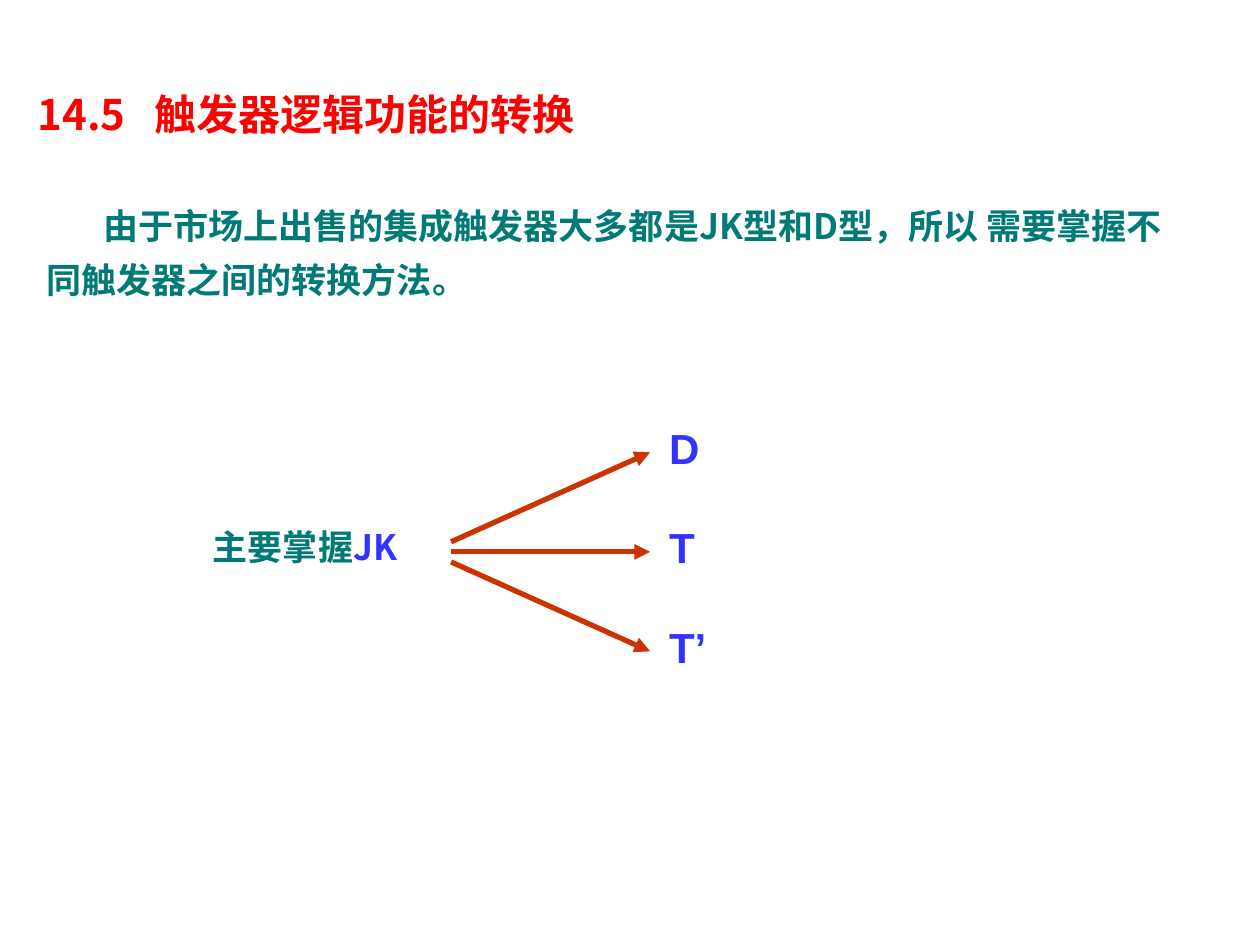
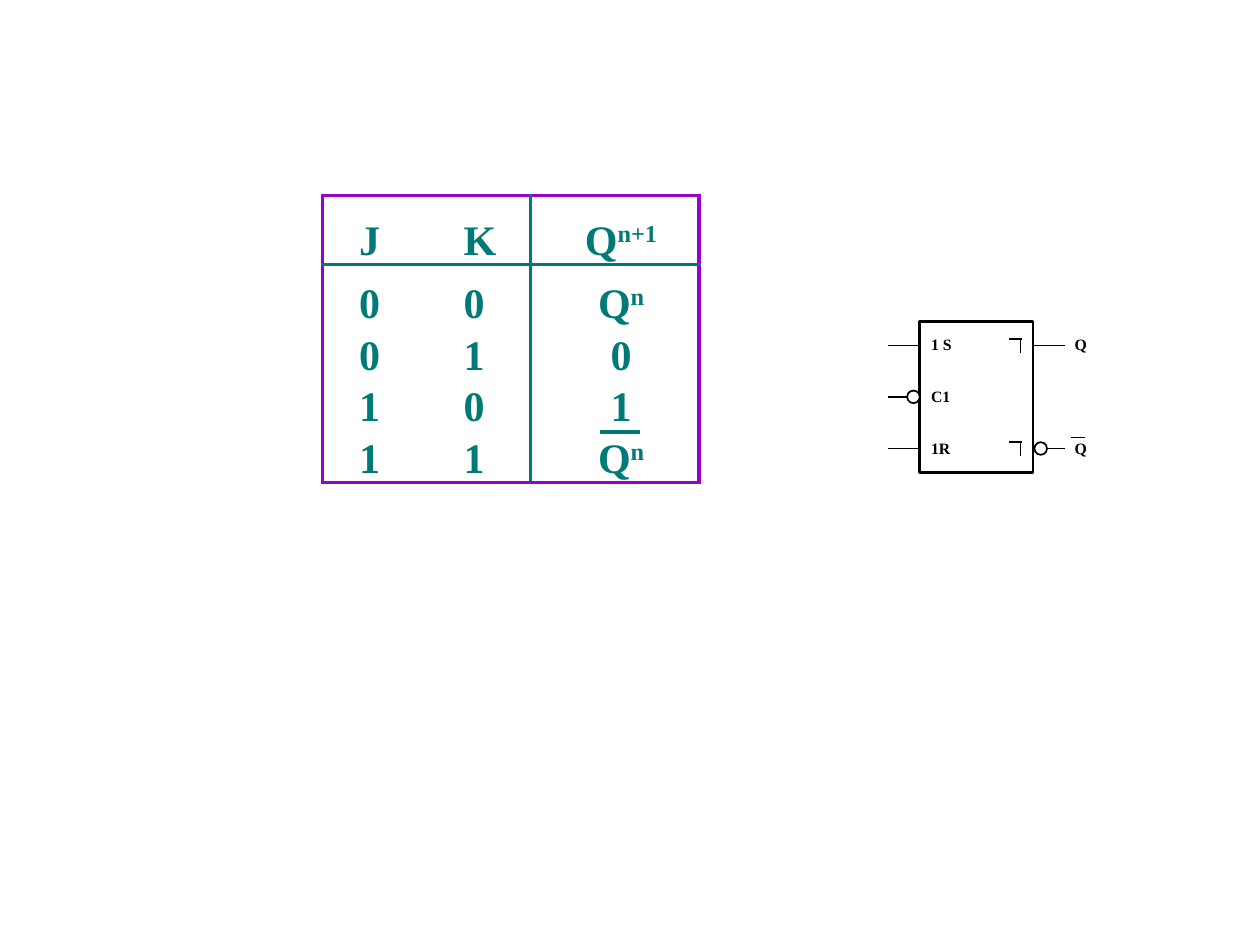
"""Build two slides on converting flip-flop types."""
from lxml import etree
from pptx import Presentation
from pptx.dml.color import RGBColor
from pptx.enum.shapes import MSO_CONNECTOR, MSO_SHAPE
from pptx.enum.text import MSO_ANCHOR, PP_ALIGN
from pptx.oxml.ns import qn
from pptx.util import Inches, Pt

RED = RGBColor(0xFF, 0x00, 0x00)
TEAL = RGBColor(0x00, 0x7A, 0x77)
BLUE = RGBColor(0x33, 0x33, 0xFF)
RUST = RGBColor(0xCC, 0x33, 0x00)
PURPLE = RGBColor(0x99, 0x00, 0xCC)
BLACK = RGBColor(0x00, 0x00, 0x00)
WHITE = RGBColor(0xFF, 0xFF, 0xFF)
SONG, SANS, SERIF = "Noto Sans CJK SC", "Arial", "Times New Roman"
LINE = MSO_CONNECTOR.STRAIGHT
RECT, OVAL = MSO_SHAPE.RECTANGLE, MSO_SHAPE.OVAL
LEFT, CENTER = PP_ALIGN.LEFT, PP_ALIGN.CENTER
TOP, MIDDLE, BOTTOM = MSO_ANCHOR.TOP, MSO_ANCHOR.MIDDLE, MSO_ANCHOR.BOTTOM
TITLE_ONLY, BLANK = 5, 6


class Deck:
    """Hold the shared style and the current slide."""

    def __init__(self):
        self.prs = Presentation()
        self.prs.slide_width = Inches(10)
        self.prs.slide_height = Inches(7.5)
        self.slide = None

    def page(self, layout):
        """Start a new slide."""
        self.slide = self.prs.slides.add_slide(self.prs.slide_layouts[layout])
        self.shapes = self.slide.shapes

    def run(self, para, words, size, face, color, base=0):
        """Add one bold run."""
        run = para.add_run()
        run.text = words
        font = run.font
        font.size, font.name, font.bold = Pt(size), face, True
        font.color.rgb = color
        props = run._r.get_or_add_rPr()
        etree.SubElement(props, qn("a:ea")).set("typeface", face)
        if base:
            props.set("baseline", str(base * 1000))

    def title(self, number, words):
        """Fill the title, with a tab after its number."""
        shape = self.shapes.title
        shape.left, shape.top = Inches(0.2), Inches(0.65)
        shape.width, shape.height = Inches(6.85), Inches(0.5)
        frame = shape.text_frame
        frame.vertical_anchor = MIDDLE
        para = frame.paragraphs[0]
        para.alignment = LEFT
        tabs = etree.SubElement(para._p.get_or_add_pPr(), qn("a:tabLst"))
        stop = etree.SubElement(tabs, qn("a:tab"))
        stop.set("pos", str(Inches(0.93)))
        stop.set("algn", "l")
        self.run(para, f"{number}\t{words}", 24, SONG, RED)

    def text(self, x, y, w, h, runs, pad=(0, 0), anchor=MIDDLE):
        """Add a text box and return its paragraph."""
        frame = self.shapes.add_textbox(
            Inches(x), Inches(y), Inches(w), Inches(h)).text_frame
        frame.word_wrap = True
        frame.vertical_anchor = anchor
        frame.margin_left = frame.margin_right = Inches(pad[0])
        frame.margin_top = frame.margin_bottom = Inches(pad[1])
        para = frame.paragraphs[0]
        for item in runs:
            self.run(para, *item)
        return para

    def line(self, start, end, color, width, arrow=False):
        """Draw a straight line or arrow."""
        link = self.shapes.add_connector(LINE, *map(Inches, start + end))
        link.line.color.rgb = color
        link.line.width = Pt(width)
        if arrow:
            tail = etree.SubElement(link.line._get_or_add_ln(), qn("a:tailEnd"))
            tail.set("type", "triangle")
        etree.SubElement(link._element.spPr, qn("a:effectLst"))

    def shape(self, kind, x, y, w, h, width):
        """Draw a white shape with a black outline."""
        shape = self.shapes.add_shape(
            kind, Inches(x), Inches(y), Inches(w), Inches(h))
        shape.shadow.inherit = False
        shape.fill.solid()
        shape.fill.fore_color.rgb = WHITE
        shape.line.color.rgb = BLACK
        shape.line.width = Pt(width)

    def edge(self, cell, side, color):
        """Set one border of a cell, or hide it."""
        line = etree.SubElement(cell._tc.get_or_add_tcPr(), qn("a:ln" + side))
        line.set("w", str(Pt(2.25)))
        if color is None:
            etree.SubElement(line, qn("a:noFill"))
            return
        fill = etree.SubElement(line, qn("a:solidFill"))
        etree.SubElement(fill, qn("a:srgbClr")).set("val", str(color))

    def table(self, x, y, widths, heights, rows):
        """Add a truth table with a frame and inner rules."""
        table = self.shapes.add_table(
            len(rows), len(widths), Inches(x), Inches(y),
            Inches(sum(widths)), Inches(sum(heights))).table
        table.first_row = table.horz_banding = False
        for col, width in zip(table.columns, widths):
            col.width = Inches(width)
        for row, height in zip(table.rows, heights):
            row.height = Inches(height)
        end, last = len(rows) - 1, len(widths) - 1
        for r, row in enumerate(rows):
            for c, words in enumerate(row):
                cell = table.cell(r, c)
                result = c == last
                sides = {
                    "L": PURPLE if c == 0 else TEAL if result else None,
                    "R": PURPLE if result else TEAL if c == last - 1 else None,
                    "T": PURPLE if r == 0 else TEAL if r == 1 else None,
                    "B": PURPLE if r == end else TEAL if r == 0 else None,
                }
                for side, color in sides.items():
                    self.edge(cell, side, color)
                cell.fill.solid()
                cell.fill.fore_color.rgb = WHITE
                cell.vertical_anchor = BOTTOM
                cell.margin_left = Inches(0.1 if result else 0.29)
                cell.margin_right = cell.margin_top = cell.margin_bottom = 0
                para = cell.text_frame.paragraphs[0]
                para.alignment = CENTER if result else LEFT
                name, _, power = words.partition("^")
                self.run(para, name, 24, SERIF, TEAL)
                if power:
                    self.run(para, power, 24, SERIF, TEAL, 30)


def intro(deck):
    """Build the slide on what JK converts to."""
    deck.page(TITLE_ONLY)
    deck.title("14.5", "触发器逻辑功能的转换")
    words = ("由于市场上出售的集成触发器大多都是JK型和D型，所以 "
             "需要掌握不同触发器之间的转换方法。")
    para = deck.text(0.27, 1.47, 9.29, 0.97, [(words, 20, SONG, TEAL)],
                     (0.1, 0.05), TOP)
    para.line_spacing = 1.3
    para._p.get_or_add_pPr().set("indent", str(Inches(0.45)))
    deck.text(1.69, 4.14, 1.97, 0.4,
              [("主要掌握", 20, SONG, TEAL), ("JK", 20, SONG, BLUE)])
    for step, name in zip((-1, 0, 1), ("D", "T", "T’")):
        deck.text(5.31, 4.14 + 0.79 * step, 0.39, 0.4,
                  [(name, 24, SANS, BLUE)])
        deck.line((3.58, 4.38 + 0.08 * step), (5.16, 4.38 + 0.79 * step),
                  RUST, 3, True)


def truth(deck):
    """Build the slide with the truth table and the symbol."""
    deck.page(BLANK)
    rows = [("J", "K", "Q^n+1"), ("0", "0", "Q^n"), ("0", "1", "0"),
            ("1", "0", "1"), ("1", "1", "Q^n")]
    deck.table(2.56, 1.55, (0.83, 0.82, 1.34),
               (0.55, 0.5, 0.41, 0.41, 0.41), rows)
    deck.line((4.76, 3.43), (5.08, 3.43), TEAL, 2.25)

    deck.shape(RECT, 7.3, 2.55, 0.9, 1.2, 1.5)
    high, mid, low = (2.74 + 0.41 * i for i in range(3))
    for y, name, end in ((high, "1 S", 7.3), (mid, "C1", 7.2),
                         (low, "1R", 7.3)):
        deck.line((7.05, y), (end, y), BLACK, 0.75)
        deck.text(7.39, y - 0.08, 0.3, 0.15, [(name, 9, SERIF, BLACK)])
    for y, start in ((high, 8.2), (low, 8.31)):
        deck.line((start, y), (8.45, y), BLACK, 0.75)
        deck.line((8.01, y - 0.05), (8.11, y - 0.05), BLACK, 1)
        deck.line((8.1, y - 0.05), (8.1, y + 0.06), BLACK, 1)
        deck.text(8.53, y - 0.08, 0.2, 0.15, [("Q", 9, SERIF, BLACK)])
    for x, y in ((7.2, mid), (8.21, low)):
        deck.shape(OVAL, x, y - 0.05, 0.1, 0.1, 1)
    deck.line((8.5, 3.47), (8.61, 3.47), BLACK, 0.75)


def main():
    """Build and save the slides."""
    deck = Deck()
    intro(deck)
    truth(deck)
    deck.prs.save("out.pptx")


if __name__ == "__main__":
    main()
